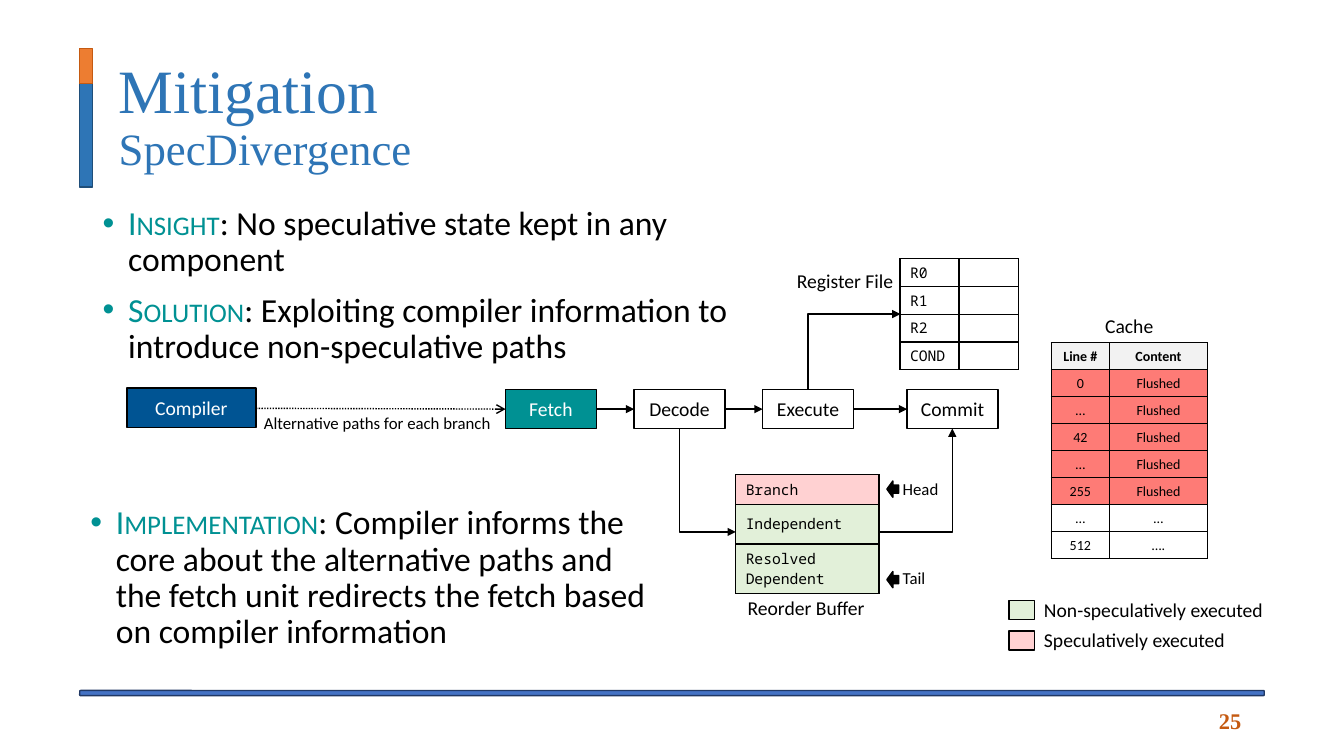
from lxml import etree
from pptx import Presentation
from pptx.dml.color import RGBColor
from pptx.enum.dml import MSO_LINE
from pptx.enum.shapes import MSO_CONNECTOR as LINK, MSO_SHAPE as SHAPE
from pptx.enum.text import MSO_ANCHOR as ANCHOR, PP_ALIGN as ALIGN
from pptx.oxml import parse_xml
from pptx.oxml.ns import nsdecls, qn
from pptx.util import Cm, Pt

BLACK = RGBColor(0x00, 0x00, 0x00)
WHITE = RGBColor(0xFF, 0xFF, 0xFF)
GREY = RGBColor(0xF2, 0xF2, 0xF2)
TEAL = RGBColor(0x00, 0x91, 0x93)
NAVY = RGBColor(0x00, 0x54, 0x93)
TITLE_BLUE = RGBColor(0x2E, 0x75, 0xB6)
DARK_BLUE = RGBColor(0x1F, 0x4E, 0x79)
RULE_BLUE = RGBColor(0x44, 0x72, 0xC4)
RULE_EDGE = RGBColor(0x20, 0x38, 0x64)
ORANGE = RGBColor(0xED, 0x7D, 0x31)
RUST = RGBColor(0xC5, 0x5A, 0x11)
PINK = RGBColor(0xFF, 0xD1, 0xD2)
GREEN = RGBColor(0xE2, 0xF0, 0xD9)
RED = RGBColor(0xFE, 0x7B, 0x76)
SANS, MONO, SERIF = "Calibri", "Noto Sans Mono", "Times New Roman"

prs = Presentation()
prs.slide_width, prs.slide_height = Cm(33.87), Cm(19.05)
s = prs.slides.add_slide(prs.slide_layouts[6])


def add_run(p, text, size, color=BLACK, name=SANS, bold=False):
    r = p.add_run()
    r.text = text
    r.font.size, r.font.name, r.font.bold = Pt(size), name, bold
    r.font.color.rgb = color
    return r


def add_box(kind, left, top, width, height, fill, line=BLACK):
    sp = s.shapes.add_shape(kind, Cm(left), Cm(top), Cm(width), Cm(height))
    sp.shadow.inherit = False
    sp.fill.solid()
    sp.fill.fore_color.rgb = fill
    sp.line.color.rgb = line
    sp.line.width = Pt(1)
    return sp


# Frame of the slide: bottom rule, title bar, title, page number
add_box(SHAPE.ROUNDED_RECTANGLE, 2.01, 17.4, 29.85, 0.13, RULE_BLUE, RULE_EDGE)
add_box(SHAPE.RECTANGLE, 2.01, 2.11, 0.32, 2.6, TITLE_BLUE, DARK_BLUE)
add_box(SHAPE.RECTANGLE, 2.01, 1.22, 0.32, 0.89, ORANGE, RUST)

tf = s.shapes.add_textbox(Cm(2.74), Cm(1.22), Cm(28.8), Cm(3.48)).text_frame
tf.word_wrap = True
tf.vertical_anchor = ANCHOR.MIDDLE
p = tf.paragraphs[0]
p.line_spacing = 0.9
add_run(p, "Mitigation", 44, TITLE_BLUE, SERIF)
p.add_line_break()
add_run(p, "SpecDivergence", 32, TITLE_BLUE, SERIF)

tf = s.shapes.add_textbox(Cm(26.75), Cm(17.65), Cm(4.78), Cm(1.02)).text_frame
tf.word_wrap = True
tf.vertical_anchor = ANCHOR.MIDDLE
p = tf.paragraphs[0]
p.alignment = ALIGN.RIGHT
add_run(p, "25", 16, RUST, SERIF, True)

# Bulleted text
bullet_boxes = [
    (2.34, 5.08, 17.2, [
        ("Insight", ": No speculative state kept in any component"),
        ("Solution", ": Exploiting compiler information to introduce non-speculative paths"),
    ]),
    (2.03, 12.62, 14.99, [
        ("Implementation", ": Compiler informs the core about the alternative paths and "
         "the fetch unit redirects the fetch based on compiler information"),
    ]),
]
for left, top, width, points in bullet_boxes:
    tf = s.shapes.add_textbox(Cm(left), Cm(top), Cm(width), Cm(4.39)).text_frame
    tf.word_wrap = True
    for i, (keyword, rest) in enumerate(points):
        p = tf.add_paragraph() if i else tf.paragraphs[0]
        p.line_spacing = 0.9
        if i:
            p.space_before = Pt(10)
        pPr = p._p.get_or_add_pPr()
        pPr.set("marL", str(Cm(0.64)))
        pPr.set("indent", str(-Cm(0.64)))
        etree.SubElement(pPr, qn("a:buFont")).set("typeface", "Arial")
        etree.SubElement(pPr, qn("a:buChar")).set("char", "•")
        r = add_run(p, keyword, 24, TEAL)
        r._r.get_or_add_rPr().set("cap", "small")
        add_run(p, rest, 24)

# Pipeline stages
STAGE_W, STAGE_H, STAGE_TOP = 2.29, 0.99, 9.81
FLOW_Y = 10.31
stages = [
    ("Compiler", 3.2, 9.78, 3.25, NAVY, WHITE),
    ("Fetch", 12.74, STAGE_TOP, STAGE_W, TEAL, WHITE),
    ("Decode", 15.98, STAGE_TOP, STAGE_W, WHITE, BLACK),
    ("Execute", 19.22, STAGE_TOP, STAGE_W, WHITE, BLACK),
    ("Commit", 22.86, STAGE_TOP, STAGE_W, WHITE, BLACK),
]
for text, left, top, width, fill, color in stages:
    tf = add_box(SHAPE.RECTANGLE, left, top, width, STAGE_H, fill).text_frame
    tf.vertical_anchor = ANCHOR.MIDDLE
    tf.margin_left = tf.margin_right = 0
    p = tf.paragraphs[0]
    p.alignment = ALIGN.CENTER
    add_run(p, text, 14, color)

# Connectors: unrotated frame (left, top, width, height), then turn and flips
links = [(LINK.STRAIGHT, 6.45, 10.29, 6.29, 0.02, 0, "")]
for (_, left, *_), (_, following, *_) in zip(stages[1:], stages[2:]):
    start = left + STAGE_W
    links.append((LINK.STRAIGHT, start, FLOW_Y, following - start, 0, 0, ""))
links += [
    (LINK.ELBOW, 16.53, 11.39, 2.61, 1.42, 270, "H"),  # Decode to reorder buffer
    (LINK.ELBOW, 22.15, 10.8, 1.85, 2.61, 0, "V"),     # reorder buffer to Commit
    (LINK.ELBOW, 20.58, 7.7, 1.9, 2.33, 90, "HV"),     # Execute to register file
]
for i, (kind, left, top, width, height, turn, flips) in enumerate(links):
    c = s.shapes.add_connector(kind, Cm(left), Cm(top), Cm(left + width), Cm(top + height))
    c.line.color.rgb = BLACK
    c.line.width = Pt(1)
    dotted = i == 0
    if dotted:
        c.line.dash_style = MSO_LINE.ROUND_DOT
    spPr = c._element.spPr
    if kind == LINK.ELBOW:
        spPr.find(qn("a:prstGeom")).set("prst", "bentConnector2")
        spPr.xfrm.set("rot", str(turn * 60000))
        for flip in flips:
            spPr.xfrm.set("flip" + flip, "1")
    head = etree.SubElement(c.line._get_or_add_ln(), qn("a:tailEnd"))
    head.set("type", "arrow" if dotted else "triangle")
    etree.SubElement(spPr, qn("a:effectLst"))

# Tables: place, column widths, row heights, font, size, bold first row, alignment, margin, rows
flushed = [(RED, (line, "Flushed")) for line in ("0", "…", "42", "…", "255")]
tables = [
    (18.54, 11.96, [3.61], [0.75, 1, 1.25], MONO, 10.5, False, ALIGN.LEFT, 0.1,
     [(PINK, ("Branch",)), (GREEN, ("Independent",)), (GREEN, ("Resolved Dependent",))]),
    (22.68, 6.52, [1.49, 1.49], [0.7] * 4, MONO, 10.5, False, ALIGN.LEFT, 0.05,
     [(WHITE, (register, "")) for register in ("R0", "R1", "R2", "COND")]),
    (26.49, 8.64, [1.47, 2.47], [0.68] * 8, SANS, 10, True, ALIGN.CENTER, 0.1,
     [(GREY, ("Line #", "Content")), *flushed, (WHITE, ("…", "…")), (WHITE, ("512", "…."))]),
]
for left, top, widths, heights, name, size, header, align, margin, rows in tables:
    table = s.shapes.add_table(len(heights), len(widths), Cm(left), Cm(top),
                               Cm(sum(widths)), Cm(sum(heights))).table
    table.first_row = table.horz_banding = False
    for column, width in zip(table.columns, widths):
        column.width = Cm(width)
    for i, (fill, texts) in enumerate(rows):
        table.rows[i].height = Cm(heights[i])
        for j, text in enumerate(texts):
            cell = table.cell(i, j)
            cell.fill.solid()
            cell.fill.fore_color.rgb = fill
            cell.margin_top = cell.margin_bottom = Cm(margin)
            cell.vertical_anchor = ANCHOR.MIDDLE
            p = cell.text_frame.paragraphs[0]
            p.alignment = align
            if text:
                add_run(p, text, size, BLACK, name, header and i == 0)
            else:
                etree.SubElement(p._p, qn("a:endParaRPr")).set("sz", str(int(size * 100)))
            for k, side in enumerate("LRTB"):
                cell._tc.get_or_add_tcPr().insert(k, parse_xml(
                    f'<a:ln{side} {nsdecls("a")} w="12700"><a:solidFill>'
                    f'<a:srgbClr val="{BLACK}"/></a:solidFill></a:ln{side}>'))

# Buffer pointers and legend swatches
for top in (12.12, 14.4):
    add_box(SHAPE.RIGHT_ARROW, 22.35, top, 0.3, 0.41, BLACK).rotation = 180
for top, fill in ((15.14, GREEN), (15.9, PINK)):
    add_box(SHAPE.RECTANGLE, 25.43, top, 0.64, 0.48, fill)

# Labels
labels = [
    ("Head", 22.5, 11.94, 1.42, 12),
    ("Tail", 22.5, 14.17, 1.09, 12),
    ("Alternative paths for each branch", 6.4, 10.27, 6.27, 12),
    ("Reorder Buffer", 18.59, 14.88, 3.51, 14),
    ("Register File", 19.83, 6.65, 2.97, 14),
    ("Cache", 27.6, 7.79, 1.75, 14),
    ("Non-speculatively executed", 26.06, 14.94, 6.1, 14),
    ("Speculatively executed", 26.06, 15.7, 5.13, 14),
]
for text, left, top, width, size in labels:
    tf = s.shapes.add_textbox(Cm(left), Cm(top), Cm(width), Cm(size * 0.06)).text_frame
    tf.word_wrap = False
    add_run(tf.paragraphs[0], text, size)

prs.save("out.pptx")
